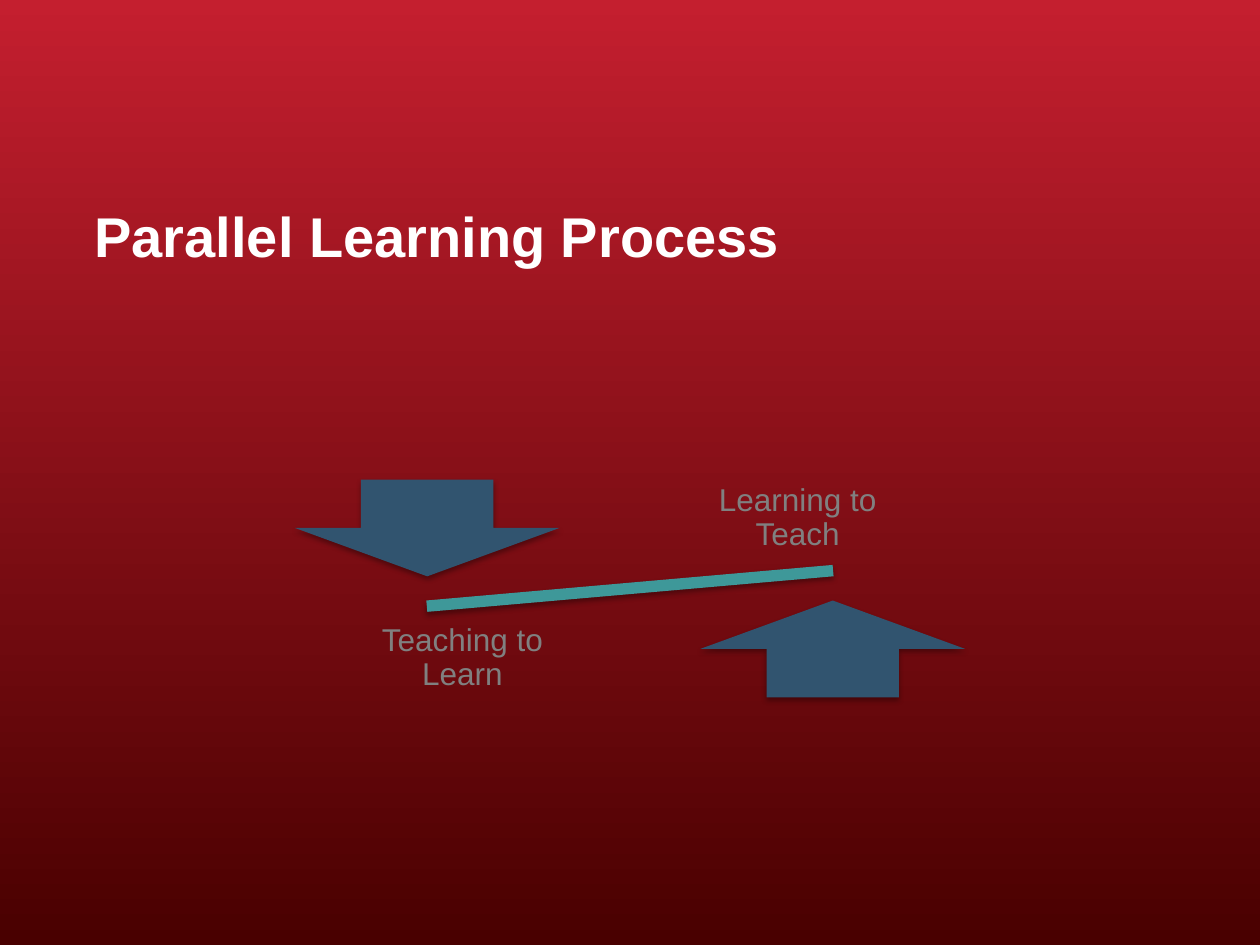
import pptx
import pptx.util
import pptx.dml.color
import pptx.enum.shapes
import pptx.enum.text
import pptx.oxml
import pptx.oxml.ns

Inches, Pt = pptx.util.Inches, pptx.util.Pt
Shape = pptx.enum.shapes.MSO_SHAPE
Align = pptx.enum.text.PP_ALIGN
Anchor = pptx.enum.text.MSO_ANCHOR

SLIDE_W, SLIDE_H = 10, 7.5
SHADOW = (
    '<a:outerShdw %s blurRad="%d" dist="%d" dir="5400000" rotWithShape="0">'
    '<a:srgbClr val="000000"><a:alpha val="35000"/></a:srgbClr></a:outerShdw>'
    % (pptx.oxml.ns.nsdecls("a"), Pt(3.1), Pt(1.8))
)


def color(hex_value):
    return pptx.dml.color.RGBColor.from_string(hex_value)


def apply(target, values):
    for name, value in values.items():
        setattr(target, name, value)


def within(box, left, top, width, height):
    """Turn shares of a box into slide lengths."""
    x, y, w, h = box
    return [Inches(v) for v in (x + left * w, y + top * h, width * w, height * h)]


def write(holder, wording, frame_format, paragraph_format, font_format, hex_value):
    frame = holder.text_frame
    frame.text = wording
    apply(frame, frame_format)
    paragraph = frame.paragraphs[0]
    apply(paragraph, paragraph_format)
    font = paragraph.runs[0].font
    apply(font, {"name": "Arial", **font_format})
    font.color.rgb = color(hex_value)


def margins(size):
    sides = ("left", "top", "right", "bottom")
    return {"margin_" + side: Inches(size) for side in sides}


def paint_background(slide):
    fill = slide.background.fill
    fill.gradient()
    fill.gradient_angle = 270
    for stop, hex_value in zip(fill.gradient_stops, ("C41F2F", "490000")):
        stop.color.rgb = color(hex_value)


def place_title(slide, box):
    title = slide.shapes.title
    left, top, width, height = within(box, 0, 0, 1, 1)
    apply(title, {"left": left, "top": top, "width": width, "height": height})
    write(title, "Parallel Learning Process",
          {"vertical_anchor": Anchor.TOP, "word_wrap": True,
           "auto_size": pptx.enum.text.MSO_AUTO_SIZE.NONE, **margins(0)},
          {"alignment": Align.LEFT}, {"size": Pt(32), "bold": True}, "FFFFFF")


def place_seesaw(slide, box):
    def solid(kind, shares, hex_value, rotation=0):
        part = slide.shapes.add_shape(kind, *within(box, *shares))
        part.rotation = rotation
        part.fill.solid()
        part.fill.fore_color.rgb = color(hex_value)
        part.line.fill.background()
        part.shadow.inherit = False
        effects = part._element.spPr.find(pptx.oxml.ns.qn("a:effectLst"))
        effects.append(pptx.oxml.parse_xml(SHADOW))

    # Tilted beam
    solid(Shape.MATH_MINUS, (0.086, 0.4, 0.828, 0.2), "3E9899", 355)

    # Each side: an arrow and the label facing it
    arrow_w, arrow_h, label_w, label_h = 0.395, 0.4, 0.42, 0.42
    sides = (
        (Shape.DOWN_ARROW, 0, 0.05, "Learning to Teach", 0.54, 0),
        (Shape.UP_ARROW, 1 - arrow_w, 0.55, "Teaching to Learn", 0.04, 0.58),
    )
    for kind, arrow_x, arrow_y, wording, label_x, label_y in sides:
        solid(kind, (arrow_x, arrow_y, arrow_w, arrow_h), "31546F")
        label = slide.shapes.add_textbox(
            *within(box, label_x, label_y, label_w, label_h))
        write(label, wording,
              {"word_wrap": True, "vertical_anchor": Anchor.MIDDLE, **margins(0.14)},
              {"alignment": Align.CENTER, "line_spacing": 0.9,
               "space_after": Pt(6.3)},
              {"size": Pt(18)}, "808080")


deck = pptx.Presentation()
apply(deck, {"slide_width": Inches(SLIDE_W), "slide_height": Inches(SLIDE_H)})
slide = deck.slides.add_slide(deck.slide_layouts[0])
subtitle = slide.placeholders[1]._element
subtitle.getparent().remove(subtitle)

paint_background(slide)
place_title(slide, (0.075 * SLIDE_W, 1.6, 0.85 * SLIDE_W, 1.61))
place_seesaw(slide, (2.34, 3.71, 5.32, 1.92))
deck.save("out.pptx")
